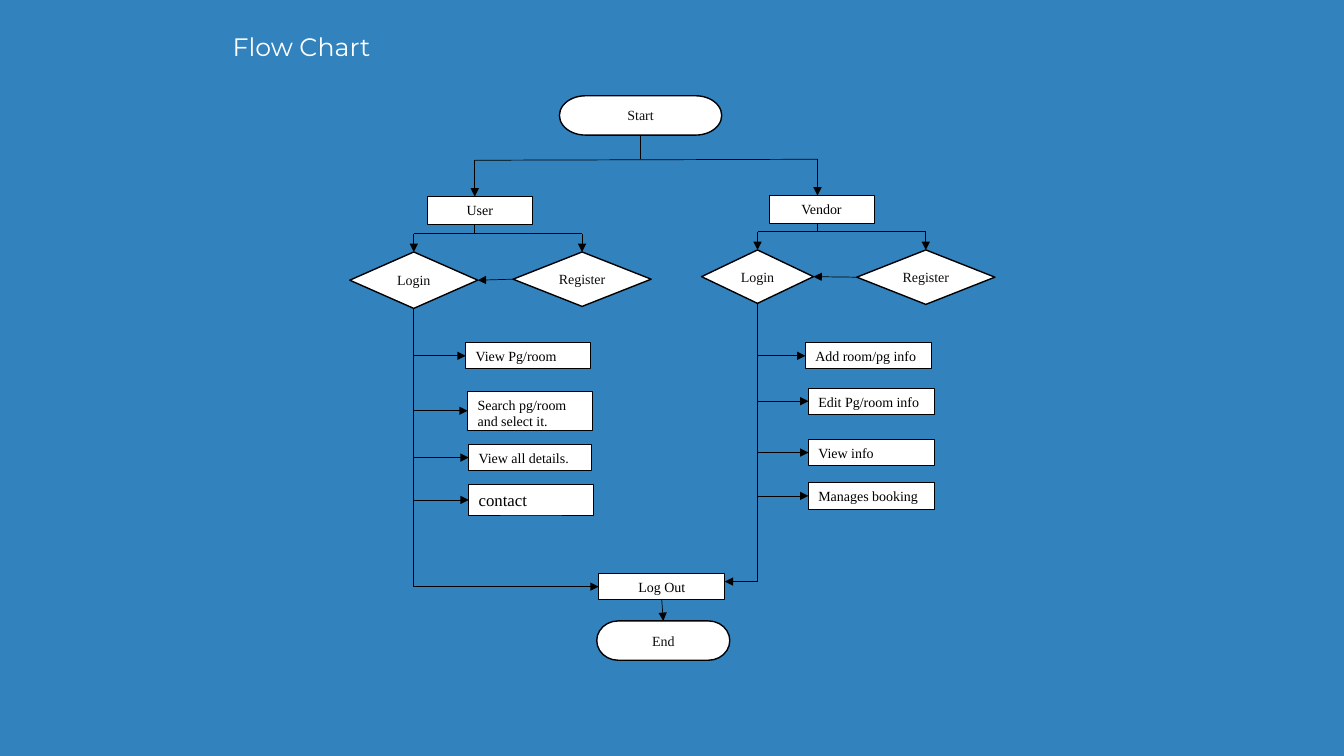
from dataclasses import dataclass
from typing import NamedTuple, Optional, Union

from lxml import etree
from pptx import Presentation, util as u
from pptx.dml import color
from pptx.enum import shapes, text
from pptx.oxml import ns

# Grid: square cells, ten to the inch
CELL = u.Inches(0.1)
COLUMNS, ROWS = 133.33, 75
SKY, WHITE, BLACK, INK = "3282BE", "FFFFFF", "000000", "0D0D0D"
BOX = shapes.MSO_SHAPE.RECTANGLE
CHOICE = shapes.MSO_SHAPE.FLOWCHART_DECISION
TERMINAL = shapes.MSO_SHAPE.FLOWCHART_TERMINATOR
TOP, LEFT, BOTTOM, RIGHT = range(4)


class Point(NamedTuple):
    col: float
    row: float


class Joint(NamedTuple):
    step: object
    side: int


End = Union[Point, Joint]


@dataclass
class Step:
    label: str
    col: float
    row: float
    cols: float
    rows: float
    kind: shapes.MSO_SHAPE = BOX
    centred: bool = True
    size: float = 10

    @property
    def middle(self) -> Point:
        return Point(self.col + self.cols / 2, self.row + self.rows / 2)


@dataclass
class Branch:
    role: Step
    login: Step
    register: Step
    stem_col: float
    split_row: float
    finish_row: float
    tasks: list[Step]


def task(label: str, col: float, row: float, cols: float = 12.5,
         rows: float = 2.6, size: float = 10) -> Step:
    return Step(label, col, row, cols, rows, centred=False, size=size)


def cells(*lengths: float) -> list[int]:
    return [round(length * CELL) for length in lengths]


def rgb(value: str) -> color.RGBColor:
    return color.RGBColor.from_string(value)


def write(frame, words: str, *, font: str = "Times New Roman", size: float = 10,
          ink: str = BLACK, centred: bool = False, middle: bool = False,
          wrap: bool = True) -> None:
    frame.word_wrap = wrap
    frame.vertical_anchor = text.MSO_ANCHOR.MIDDLE if middle else text.MSO_ANCHOR.TOP
    line = frame.paragraphs[0]
    line.alignment = text.PP_ALIGN.CENTER if centred else text.PP_ALIGN.LEFT
    run = line.add_run()
    run.text = words
    run.font.name, run.font.size = font, u.Pt(size)
    run.font.color.rgb = rgb(ink)


def draw(slide, step: Step):
    is_box = step.kind == BOX
    drawn = slide.shapes.add_shape(
        step.kind, *cells(step.col, step.row, step.cols, step.rows))
    drawn.shadow.inherit = False
    drawn.fill.solid()
    drawn.fill.fore_color.rgb = rgb(WHITE)
    drawn.line.color.rgb = rgb(BLACK)
    drawn.line.width = u.Pt(0.5 if is_box else 1)
    write(drawn.text_frame, step.label, size=step.size, centred=step.centred,
          ink=BLACK if is_box else INK, middle=not is_box, wrap=is_box)
    return drawn


def link(slide, start: End, end: End, arrow: bool = True) -> None:
    spots = [spot if isinstance(spot, Point) else Point(0, 0) for spot in (start, end)]
    route = slide.shapes.add_connector(
        shapes.MSO_CONNECTOR.STRAIGHT, *cells(*spots[0], *spots[1]))
    if isinstance(start, Joint):
        route.begin_connect(*start)
    if isinstance(end, Joint):
        route.end_connect(*end)
    route.line.color.rgb = rgb(BLACK)
    route.line.width = u.Pt(0.5)
    if arrow:
        etree.SubElement(route.line._get_or_add_ln(), ns.qn("a:tailEnd"), type="triangle")
    etree.SubElement(route._element.spPr, ns.qn("a:effectLst"))


def draw_branch(slide, branch: Branch, fork: Point) -> Point:
    """Draw one role's path and return the foot of its trunk."""
    draw(slide, branch.role)
    login, register = draw(slide, branch.login), draw(slide, branch.register)
    trunk_col, far_col = branch.login.middle.col, branch.register.middle.col
    split = branch.split_row

    # Role splits into login and register
    link(slide, fork, Point(branch.stem_col, branch.role.row))
    link(slide, Point(branch.stem_col, branch.role.row + branch.role.rows),
         Point(branch.stem_col, split), arrow=False)
    link(slide, Point(trunk_col, split), Point(far_col, split), arrow=False)
    link(slide, Point(trunk_col, split), Joint(login, TOP))
    link(slide, Point(far_col, split), Joint(register, TOP))
    link(slide, Joint(register, LEFT), Joint(login, RIGHT))

    # Trunk with one arrow per task
    foot = Point(trunk_col, branch.finish_row)
    link(slide, Joint(login, BOTTOM), foot, arrow=False)
    for item in branch.tasks:
        link(slide, Point(trunk_col, item.middle.row), Joint(draw(slide, item), LEFT))
    return foot


START = Step("Start", 55.5, 9.5, 16.1, 3.9, TERMINAL)
LOG_OUT = Step("Log Out", 59.4, 56.9, 12.5, 2.6)
END = Step("End", 59.2, 61.6, 13.2, 3.9, TERMINAL)
USER = Branch(
    Step("User", 42.4, 19.5, 10.4, 2.8),
    Step("Login", 34.7, 25, 12.7, 5.6, CHOICE),
    Step("Register", 50.9, 25, 13.7, 5.4, CHOICE),
    stem_col=47.1, split_row=23.2, finish_row=LOG_OUT.middle.row,
    tasks=[task("View Pg/room", 46.2, 34, 12.4),
           task("Search pg/room and select it.", 46.4, 38.8, 12.4, 3.9),
           task("View all details.", 46.5, 44.1, 12.2),
           task("contact", 46.5, 48.1, 12.4, 3, size=12)])
VENDOR = Branch(
    Step("Vendor", 76.3, 19.4, 10.4, 2.8),
    Step("Login", 69.6, 24.8, 11.1, 5.3, CHOICE),
    Step("Register", 85, 24.8, 13.7, 5.4, CHOICE),
    stem_col=81.1, split_row=23, finish_row=57.7,
    tasks=[task("Add room/pg info", 79.9, 34),
           task("Edit Pg/room info", 80.2, 38.5),
           task("View info", 80.2, 43.6),
           task("Manages booking", 80.2, 47.9)])


def main() -> None:
    deck = Presentation()
    deck.slide_width, deck.slide_height = cells(COLUMNS, ROWS)
    slide = deck.slides.add_slide(deck.slide_layouts[6])
    slide.background.fill.solid()
    slide.background.fill.fore_color.rgb = rgb(SKY)

    # Title
    title = slide.shapes.add_textbox(*cells(22.1, 2.6, 40.6, 4))
    write(title.text_frame, "Flow Chart", font="Montserrat", size=18, ink=WHITE)

    # Start and the fork to both roles
    start = draw(slide, START)
    user_fork, vendor_fork = Point(USER.stem_col, 15.9), Point(VENDOR.stem_col, 15.8)
    link(slide, Joint(start, BOTTOM), Point(START.middle.col, 15.8), arrow=False)
    link(slide, user_fork, vendor_fork, arrow=False)

    # Roles
    user_foot = draw_branch(slide, USER, user_fork)
    vendor_foot = draw_branch(slide, VENDOR, vendor_fork)

    # Log out and end
    log_out, end = draw(slide, LOG_OUT), draw(slide, END)
    link(slide, user_foot, Joint(log_out, LEFT))
    link(slide, vendor_foot, Point(LOG_OUT.col + LOG_OUT.cols, vendor_foot.row))
    link(slide, Joint(log_out, BOTTOM), Joint(end, TOP))

    deck.save("out.pptx")


if __name__ == "__main__":
    main()
